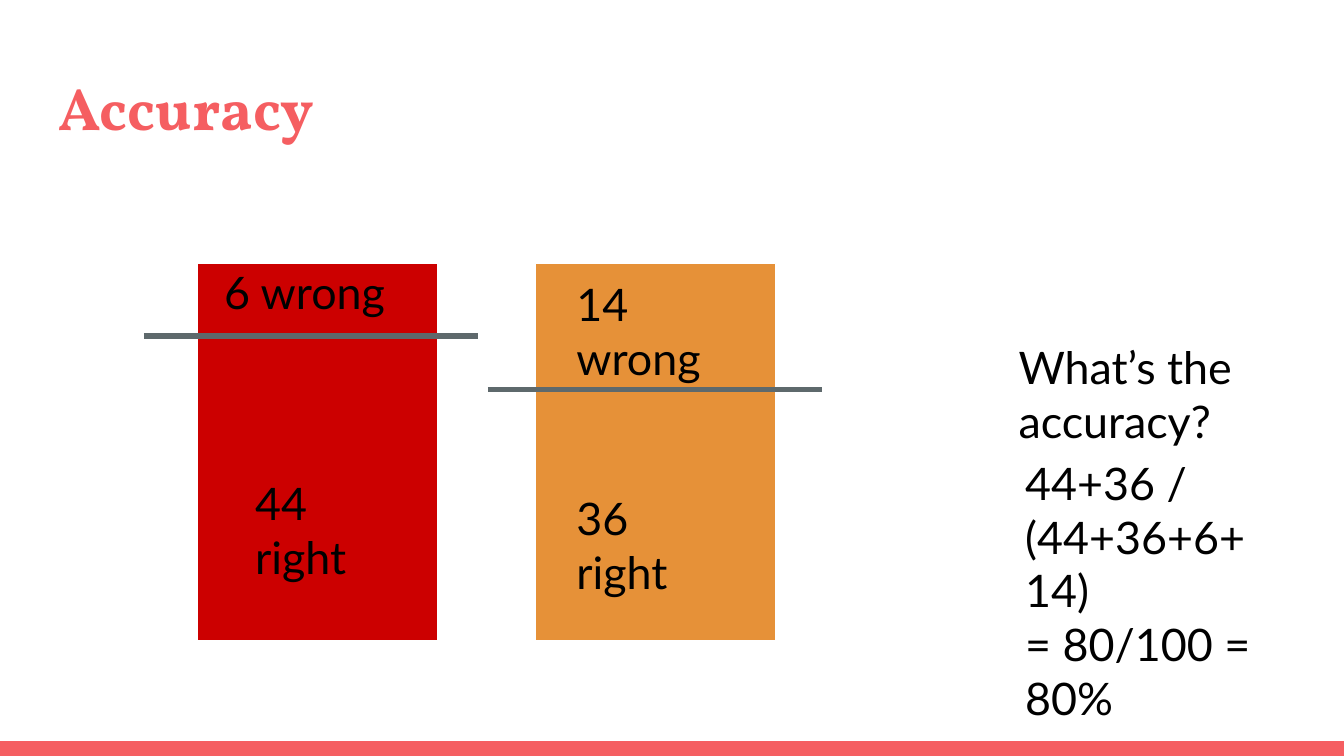
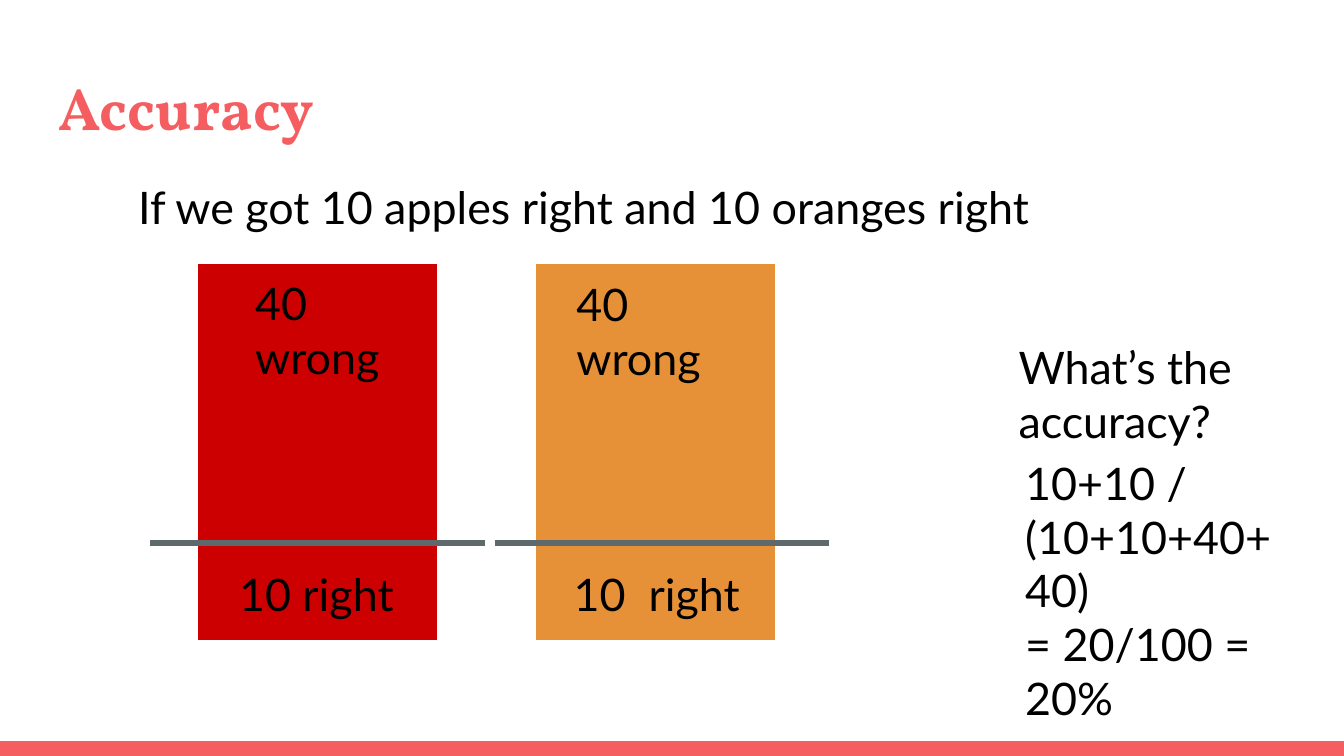
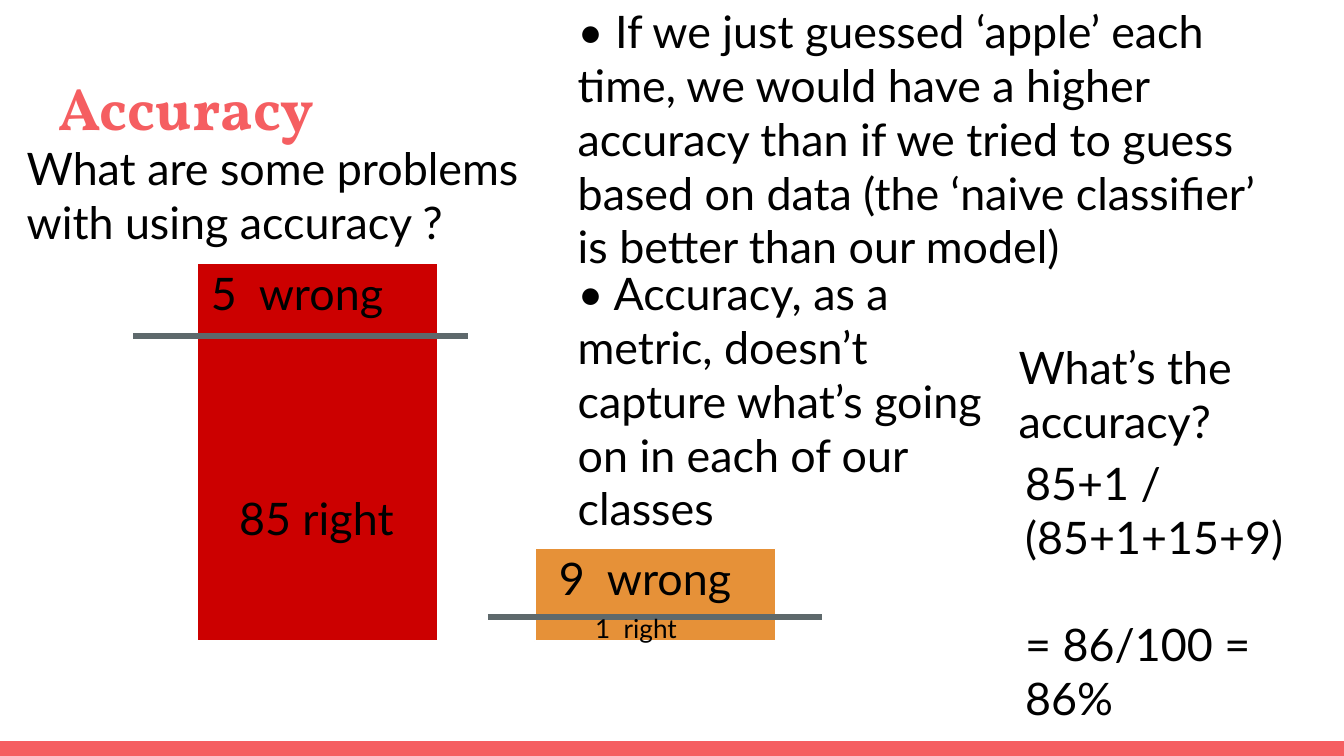
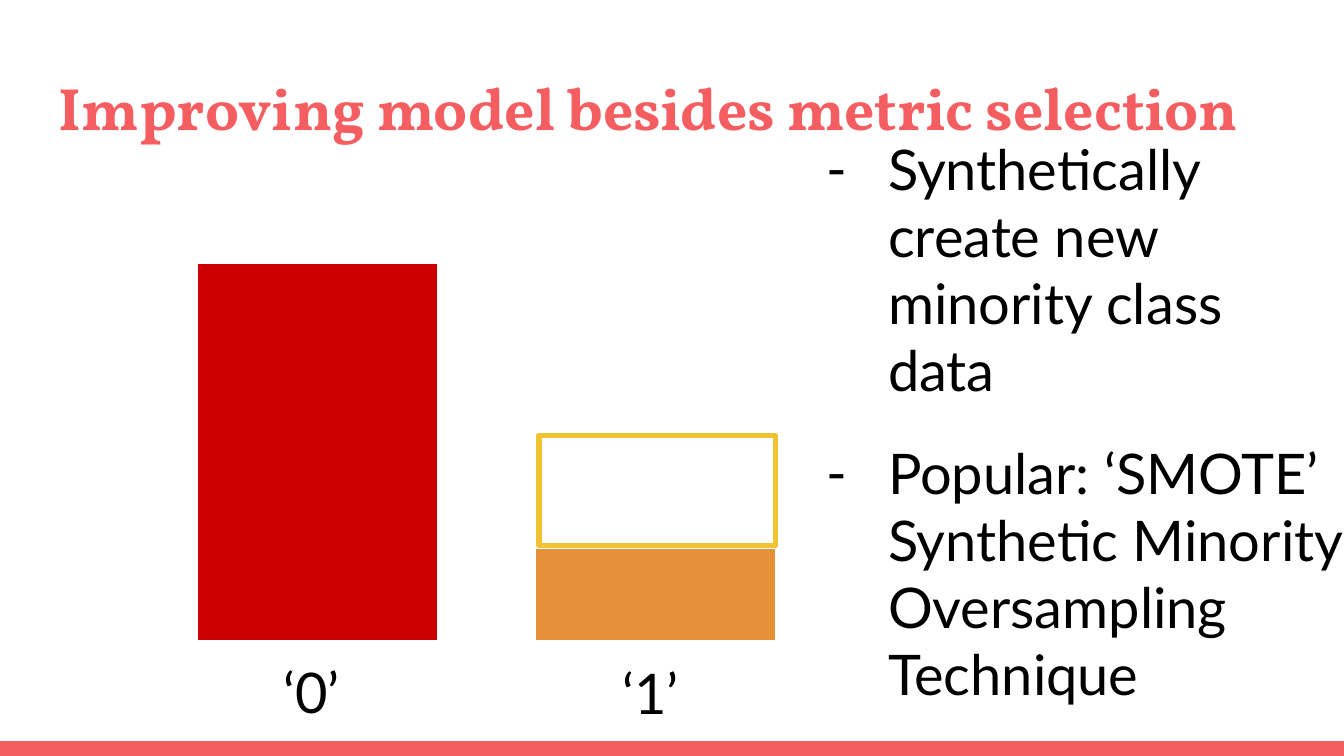
from collections import namedtuple

from lxml.etree import SubElement
from pptx import Presentation
from pptx.dml.color import RGBColor
from pptx.enum.shapes import MSO_CONNECTOR as Connector, MSO_SHAPE as Shape
from pptx.oxml.ns import qn
from pptx.util import Inches, Pt

Box = namedtuple("Box", "left top width height")
Label = namedtuple("Label", "text dx dy width height size", defaults=(0.82, 24))
Divider = namedtuple("Divider", "dx dy")

# Shared style
CORAL, RED, ORANGE, YELLOW = "F55E61", "CC0000", "E69138", "F1C232"
WHITE, BLACK, SLATE = "FFFFFF", "000000", "5E696C"
TITLE_FONT, BODY_FONT = "Vollkorn", "Lato"
BODY_SIZE, LARGE_SIZE = 24, 30

# Shared geometry: a 16:9 page
PAGE_WIDTH = 10
PAGE_HEIGHT = PAGE_WIDTH * 9 / 16
BAND_HEIGHT = 0.11
BAND_BOX = Box(0, PAGE_HEIGHT - BAND_HEIGHT, PAGE_WIDTH, BAND_HEIGHT)
TITLE_BOX = Box(0.34, 0.43, 9.32, 0.68)
BAR_WIDTH, BAR_BASE = 1.79, 4.77
TALL, SHORT = 2.81, 0.69
DIVIDER_WIDTH = 2.49
QUESTION_BOX = Box(7.48, 2.43, 1.88, 0.82)


def bar_box(left, height):
    return Box(left, BAR_BASE - height, BAR_WIDTH, height)


APPLES, ORANGES = bar_box(1.47, TALL), bar_box(3.98, TALL)
FEW_ORANGES = bar_box(3.98, SHORT)


def color(hex_code):
    return RGBColor.from_string(hex_code)


def inches(box):
    return [Inches(length) for length in box]


def add_text(slide, box, *lines, size=BODY_SIZE, font=BODY_FONT,
             ink=BLACK, bold=False):
    frame = slide.shapes.add_textbox(*inches(box)).text_frame
    frame.word_wrap = True
    frame.margin_left = frame.margin_right = Inches(0.1)
    frame.margin_top = frame.margin_bottom = Inches(0.1)
    frame.text = "\n".join(lines)
    for paragraph in frame.paragraphs:
        for run in paragraph.runs:
            run.font.name = font
            run.font.size = Pt(size)
            run.font.bold = bold
            run.font.color.rgb = color(ink)
    return frame


def add_rect(slide, box, fill=None, line=None, line_width=0.75):
    rect = slide.shapes.add_shape(Shape.RECTANGLE, *inches(box))
    rect.shadow.inherit = False
    if fill:
        rect.fill.solid()
        rect.fill.fore_color.rgb = color(fill)
    else:
        rect.fill.background()
    if line:
        rect.line.color.rgb = color(line)
        rect.line.width = Pt(line_width)
    else:
        rect.line.fill.background()


def add_divider(slide, left, top):
    ends = inches((left, top, left + DIVIDER_WIDTH, top))
    rule = slide.shapes.add_connector(Connector.STRAIGHT, *ends)
    rule.line.color.rgb = color(SLATE)
    rule.line.width = Pt(3)
    SubElement(rule._element.spPr, qn("a:effectLst"))


def add_base_slide(deck, title):
    """Slide with the bottom band and the title."""
    slide = deck.slides.add_slide(deck.slide_layouts[6])
    slide.background.fill.solid()
    slide.background.fill.fore_color.rgb = color(WHITE)
    add_rect(slide, BAND_BOX, CORAL)
    add_text(slide, TITLE_BOX, title, size=32, font=TITLE_FONT, ink=CORAL, bold=True)
    return slide


def add_class_bar(slide, box, fill, divider=None, labels=()):
    """Bar of one class; divider and labels are offset from its corner."""
    add_rect(slide, box, fill, WHITE)
    if divider:
        add_divider(slide, box.left + divider.dx, box.top + divider.dy)
    for label in labels:
        place = Box(box.left + label.dx, box.top + label.dy, label.width, label.height)
        add_text(slide, place, label.text, size=label.size)


def add_accuracy_answer(slide, box, formula, result, gap=0):
    """Question with the calculation below it."""
    add_text(slide, box, "What’s the accuracy?")
    answer_box = Box(box.left + 0.05, box.top + 0.86, 2.19, 0.91)
    answer = add_text(slide, answer_box, formula, result)
    answer.paragraphs[1].space_before = Pt(gap)


def add_dash_item(slide, box, text):
    frame = add_text(slide, box, text, size=LARGE_SIZE)
    properties = frame.paragraphs[0]._p.get_or_add_pPr()
    properties.set("marL", str(Inches(0.5)))
    properties.set("indent", str(Inches(-0.46)))
    bullet_color = SubElement(properties, qn("a:buClr"))
    SubElement(bullet_color, qn("a:srgbClr")).set("val", BLACK)
    SubElement(properties, qn("a:buFont")).set("typeface", BODY_FONT)
    SubElement(properties, qn("a:buChar")).set("char", "-")


def build_good_model(deck):
    slide = add_base_slide(deck, "Accuracy")
    add_class_bar(slide, APPLES, RED, Divider(-0.4, 0.54), [
        Label("44 right", 0.33, 1.48, 1.13),
        Label("6 wrong", 0.1, -0.09, 2.3)])
    add_class_bar(slide, ORANGES, ORANGE, Divider(-0.35, 0.94), [
        Label("14  wrong", 0.21, 0, 1.36),
        Label("36  right", 0.21, 1.59, 1.36)])
    add_accuracy_answer(slide, QUESTION_BOX, "44+36 / (44+36+6+ 14)", "= 80/100 = 80%")


def build_poor_model(deck):
    slide = add_base_slide(deck, "Accuracy")
    add_class_bar(slide, APPLES, RED, Divider(-0.35, 2.08), [
        Label("10 right", 0.21, 2.16, 1.88),
        Label("40  wrong", 0.33, -0.01, 1.36)])
    add_class_bar(slide, ORANGES, ORANGE, Divider(-0.3, 2.08), [
        Label("40  wrong", 0.21, 0, 1.36),
        Label("10  right", 0.19, 2.16, 1.67)])
    add_text(slide, Box(0.93, 1.24, 6.9, 0.59),
             "If we got 10 apples right and 10 oranges right")
    add_accuracy_answer(slide, QUESTION_BOX, "10+10 / (10+10+40+40)", "= 20/100 = 20%")


def build_accuracy_problems(deck):
    slide = add_base_slide(deck, "Accuracy")
    add_class_bar(slide, APPLES, RED, Divider(-0.48, 0.54), [
        Label("85 right", 0.21, 1.59, 1.88),
        Label("5  wrong", 0, -0.08, 1.79, 0.46)])
    add_class_bar(slide, FEW_ORANGES, ORANGE, Divider(-0.35, 0.51), [
        Label("1  right", 0.35, 0.38, 1.67, 0.26, 14),
        Label("9  wrong", 0.08, -0.08, 1.79, 0.46)])
    add_accuracy_answer(slide, QUESTION_BOX, "85+1 / (85+1+15+9)",
                        "= 86/100 = 86%", gap=28.8)
    # Question and its two answers
    add_text(slide, Box(0.1, 0.95, 4.03, 0.59),
             "What are some problems with using accuracy ?")
    add_text(slide, Box(4.2, -0.07, 5.59, 0.59),
             "• If we just guessed ‘apple’ each time, we would have a higher accuracy "
             "than if we tried to guess based on data (the ‘naive classifier’  "
             "is better than our model)")
    add_text(slide, Box(4.2, 1.88, 3.24, 0.59),
             "• Accuracy, as a metric, doesn’t capture what’s going on "
             "in each of our classes")


def build_oversampling(deck):
    slide = add_base_slide(deck, "Improving model besides metric selection")
    add_class_bar(slide, APPLES, RED,
                  labels=[Label("‘0’", 0.54, 2.83, 0.69, 0.26, LARGE_SIZE)])
    add_class_bar(slide, FEW_ORANGES, ORANGE,
                  labels=[Label("‘1’", 0.55, 0.72, 0.69, 0.26, LARGE_SIZE)])
    # Synthetic data on top of the minority class
    add_rect(slide, Box(4.01, 3.24, 1.76, 0.82), line=YELLOW, line_width=3)
    add_dash_item(slide, Box(6.01, 0.9, 3.99, 0.82),
                  "Synthetically create new minority class data")
    add_dash_item(slide, Box(6.01, 3.16, 4.44, 0.82),
                  "Popular: ‘SMOTE’  Synthetic Minority Oversampling Technique")


def main():
    deck = Presentation()
    deck.slide_width, deck.slide_height = Inches(PAGE_WIDTH), Inches(PAGE_HEIGHT)
    build_good_model(deck)
    build_poor_model(deck)
    build_accuracy_problems(deck)
    build_oversampling(deck)
    deck.save("out.pptx")


if __name__ == "__main__":
    main()
